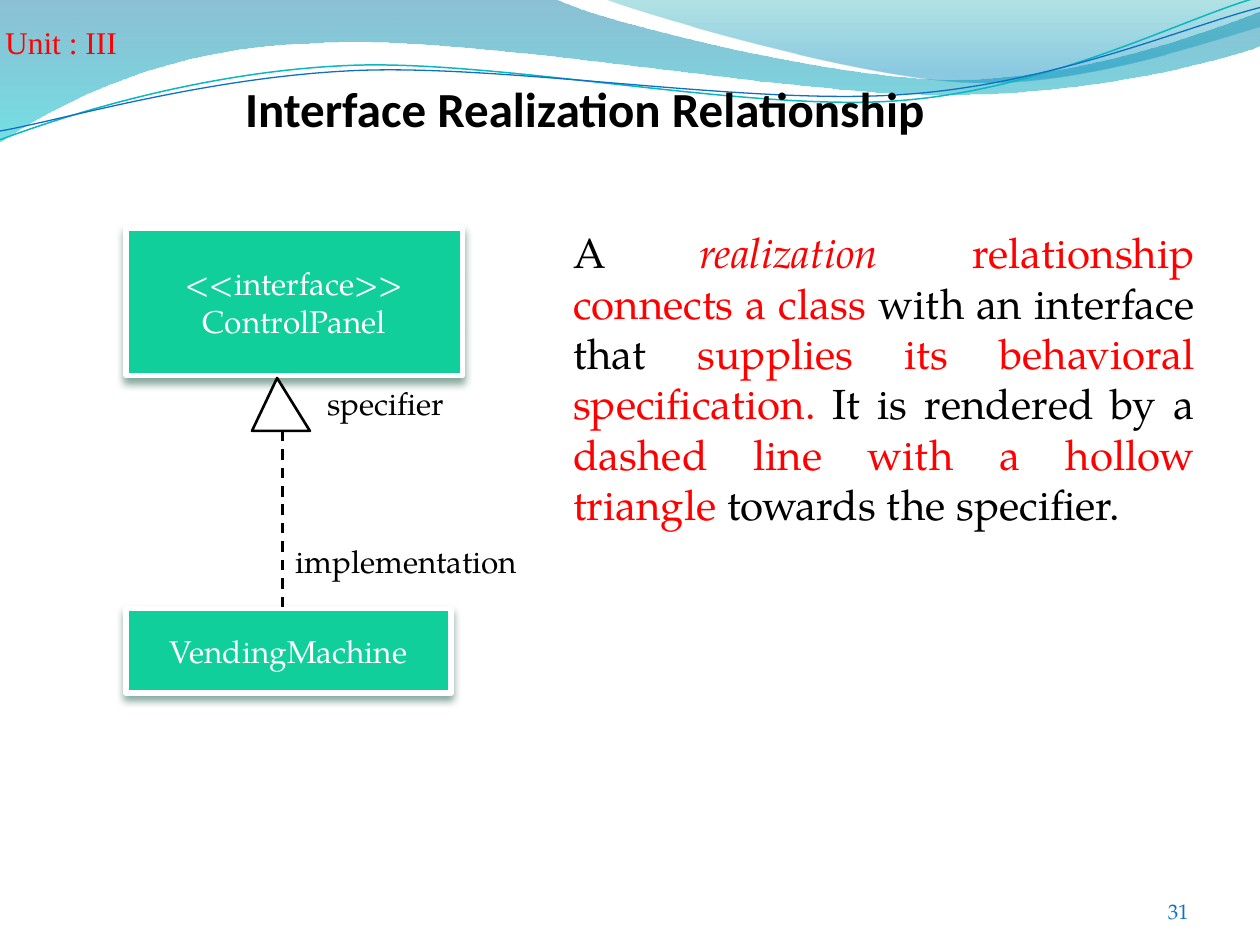
from pptx import Presentation
from pptx import util as u
from pptx.dml.color import RGBColor
from pptx.enum import dml, shapes, text
from pptx.oxml import ns
from lxml import etree

COLORS = {
    "black": "000000", "white": "FFFFFF", "red": "FF0000", "green": "10CF9B",
    "blue": "0F6FC6", "aqua": "0AB8BF", "deep_blue": "0074A1",
    "turquoise": "00C6CF", "teal": "00A1A9", "sky": "008BBF", "shade": "044A37",
}
SERIF = "TeX Gyre Pagella"

LEFT_WAVE = [
    [(4.4, -0.01)], [(4.76, 0.17), (6.64, 0.63), (7.58, 0.63)],
    [(8.53, 0.63), (9.58, 0.26), (10, 0.09)], [(10.01, 0.36)],
    [(9.83, 0.44), (8.7, 0.76), (7.46, 0.75)],
    [(6.22, 0.75), (3.82, 0.28), (2.57, 0.34)],
    [(1.29, 0.36), (0.46, 0.83), (-0.01, 1.13)],
]
RIGHT_WAVE = [
    [(5.09, 0.11), (6.82, 0.62), (7.69, 0.65)],
    [(8.56, 0.69), (9.61, 0.32), (10, 0.21)], [(10, 0)],
]
AQUA_LINE = [
    [(0.48, 0.93), (1.58, 0.57), (2.77, 0.52)],
    [(3.95, 0.47), (5.93, 0.89), (7.13, 0.8)],
    [(8.33, 0.71), (9.38, 0.15), (9.98, -0.02)],
]
BLUE_LINE = [
    [(0.47, 0.96), (1.64, 0.61), (2.83, 0.56)],
    [(4.03, 0.51), (5.97, 0.84), (7.17, 0.75)],
    [(8.36, 0.67), (9.41, 0.21), (10, 0.06)],
]


def color(name):
    return RGBColor.from_string(COLORS[name])


def inches(*values):
    return [u.Inches(value) for value in values]


def style_font(font, size, name=SERIF, tint="black", bold=False):
    font.size, font.name, font.bold = u.Pt(size), name, bold
    font.color.rgb = color(tint)


def style_line(line, tint, width):
    line.color.rgb = color(tint)
    line.width = u.Pt(width)


def add_outline(slide, start, segments, close):
    builder = slide.shapes.build_freeform(*inches(*start))
    points = [inches(*point) for segment in segments for point in segment]
    builder.add_line_segments(points, close)
    shape = builder.convert_to_shape()
    shape.shadow.inherit = False
    steps = iter(list(shape.element.spPr.iter(ns.qn("a:lnTo"))))
    for segment in segments:
        group = [next(steps) for point in segment]
        if len(group) == 3:
            curve = etree.Element(ns.qn("a:cubicBezTo"))
            group[0].addprevious(curve)
            for step in group:
                curve.append(step[0])
                step.getparent().remove(step)
    return shape


def add_wave(slide, start, segments, stops):
    shape = add_outline(slide, start, segments, True)
    shape.line.fill.background()
    shape.fill.gradient()
    shape.fill.gradient_angle = 270
    for stop, (position, tint, opacity) in zip(shape.fill.gradient_stops, stops):
        stop.position = position
        stop.color.rgb = color(tint)
    tints = list(shape.element.spPr.iter(ns.qn("a:srgbClr")))
    for element, (position, tint, opacity) in zip(tints, stops):
        etree.SubElement(element, ns.qn("a:alpha"), val=str(opacity * 1000))


def add_background(slide):
    add_wave(slide, (0, 0), LEFT_WAVE, [(0, "deep_blue", 45), (1, "turquoise", 55)])
    add_wave(slide, (4.79, -0.01), RIGHT_WAVE, [(0, "teal", 30), (0.8, "sky", 45)])
    for start, segments, tint, width in [
        ((0, 1.11), AQUA_LINE, "aqua", 0.85), ((0, 1.04), BLUE_LINE, "blue", 0.75),
    ]:
        shape = add_outline(slide, start, segments, False)
        shape.fill.background()
        style_line(shape.line, tint, width)


def add_title(slide, box, words):
    title = slide.shapes.title
    title.element.getparent().append(title.element)
    title.left, title.top, title.width, title.height = inches(*box)
    frame = title.text_frame
    frame.text = words
    frame.margin_left = frame.margin_right = frame.margin_bottom = 0
    frame.vertical_anchor = text.MSO_ANCHOR.BOTTOM
    frame.paragraphs[0].alignment = text.PP_ALIGN.CENTER
    style_font(frame.paragraphs[0].font, 28, "Calibri", bold=True)


def add_label(slide, box, words, size=18, name=SERIF, tint="black"):
    frame = slide.shapes.add_textbox(*inches(*box)).text_frame
    frame.word_wrap = True
    frame.text = words
    style_font(frame.paragraphs[0].font, size, name, tint)
    return frame


def add_unit(slide, box):
    frame = add_label(slide, box, "Unit : III", name="Times New Roman", tint="red")
    frame.margin_left = frame.margin_right = frame.margin_bottom = 0
    frame.vertical_anchor = text.MSO_ANCHOR.BOTTOM


def add_shadow(shape):
    shape.shadow.inherit = False
    effects = shape.element.spPr.find(ns.qn("a:effectLst"))
    shadow = etree.SubElement(
        effects, ns.qn("a:outerShdw"), blurRad=str(u.Pt(4.5)), dist=str(u.Pt(3)),
        dir="5400000", rotWithShape="0")
    tint = etree.SubElement(shadow, ns.qn("a:srgbClr"), val=COLORS["shade"])
    etree.SubElement(tint, ns.qn("a:alpha"), val="48000")


def add_class_box(slide, box, words):
    shape = slide.shapes.add_shape(shapes.MSO_SHAPE.RECTANGLE, *inches(*box))
    shape.fill.solid()
    shape.fill.fore_color.rgb = color("green")
    style_line(shape.line, "white", 3)
    add_shadow(shape)
    frame = shape.text_frame
    frame.word_wrap = False
    frame.vertical_anchor = text.MSO_ANCHOR.MIDDLE
    frame.text = words
    for paragraph in frame.paragraphs:
        paragraph.alignment = text.PP_ALIGN.CENTER
        style_font(paragraph.font, 18, tint="white")


def add_realization_arrow(slide, left, top, bottom):
    base = top + 0.42
    line = slide.shapes.add_connector(
        shapes.MSO_CONNECTOR.STRAIGHT, *inches(left + 0.24, base, left + 0.24, bottom))
    style_line(line.line, "black", 1.5)
    line.line.dash_style = dml.MSO_LINE.DASH
    etree.SubElement(line.element.spPr, ns.qn("a:effectLst"))
    corners = [[(left, base)], [(left + 0.46, base)]]
    head = add_outline(slide, (left + 0.2, top), corners, True)
    head.fill.solid()
    head.fill.fore_color.rgb = color("white")
    style_line(head.line, "black", 1.5)


def add_diagram(slide, left, top):
    add_class_box(slide, (left, top, 2.67, 1.17), "<<interface>>\nControlPanel")
    add_class_box(slide, (left, top + 3.02, 2.58, 0.67), "VendingMachine")
    add_realization_arrow(slide, left + 1, top + 1.19, top + 3.02)


def add_definition(slide, box):
    frame = slide.shapes.add_textbox(*inches(*box)).text_frame
    frame.word_wrap = True
    paragraph = frame.paragraphs[0]
    paragraph.alignment = text.PP_ALIGN.JUSTIFY
    for words, tint, italic in [
        ("A ", "black", False),
        ("realization", "red", True),
        (" relationship connects a class ", "red", False),
        ("with an interface that ", "black", False),
        ("supplies its behavioral specification.", "red", False),
        (" It is rendered by a ", "black", False),
        ("dashed line with a hollow triangle ", "red", False),
        ("towards the specifier.", "black", False),
    ]:
        run = paragraph.add_run()
        run.text = words
        style_font(run.font, 24, tint=tint)
        run.font.italic = italic


def main():
    presentation = Presentation()
    presentation.slide_width, presentation.slide_height = inches(10, 7.5)
    slide = presentation.slides.add_slide(presentation.slide_layouts[5])
    add_background(slide)
    add_title(slide, (1.39, 0.51, 6.5, 0.58), "Interface Realization Relationship")
    add_diagram(slide, 1, 1.81)
    add_definition(slide, (4.45, 1.75, 5.13, 2.52))
    add_label(slide, (2.5, 3, 1.17, 0.4), "specifier")
    add_label(slide, (2.25, 4.25, 2.08, 0.4), "implementation")
    add_unit(slide, (0.04, 0.01, 1.12, 0.47))
    add_label(slide, (9.17, 7.08, 0.83, 0.4), "31", size=12, tint="blue")
    presentation.save("out.pptx")


if __name__ == "__main__":
    main()
